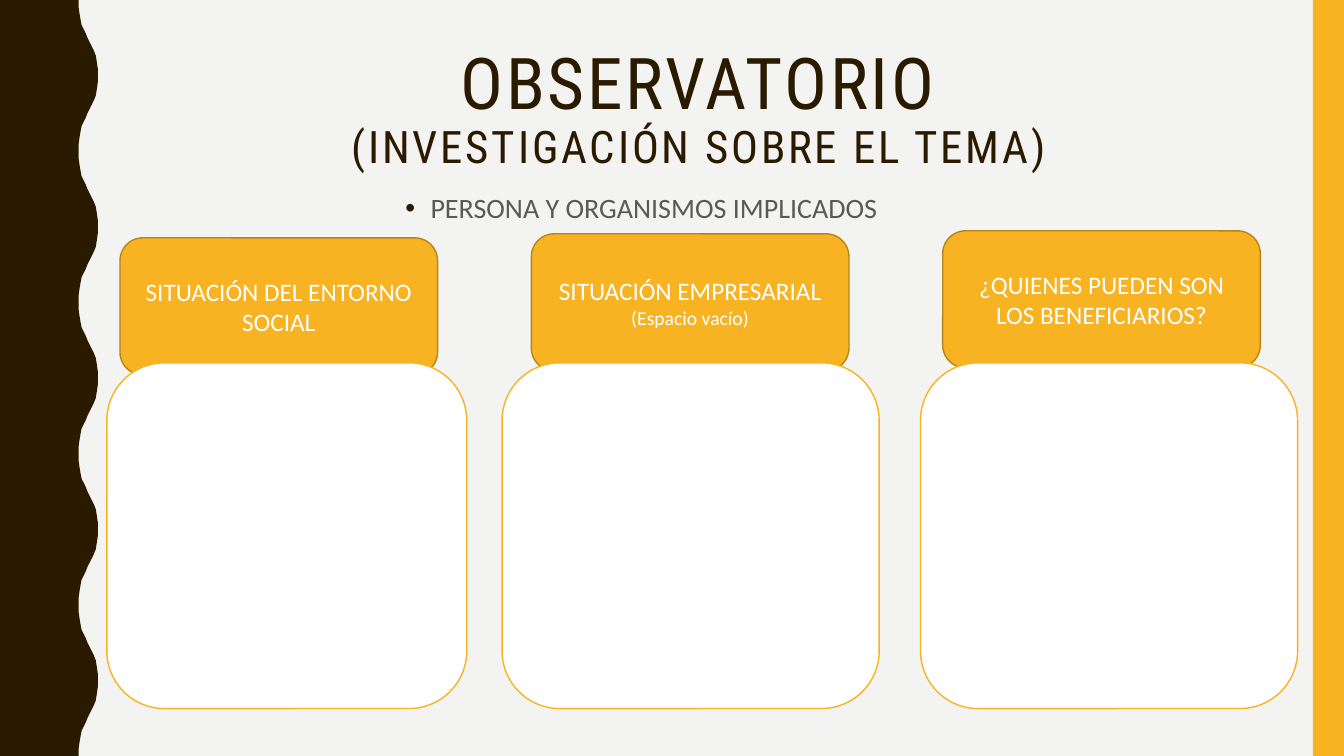
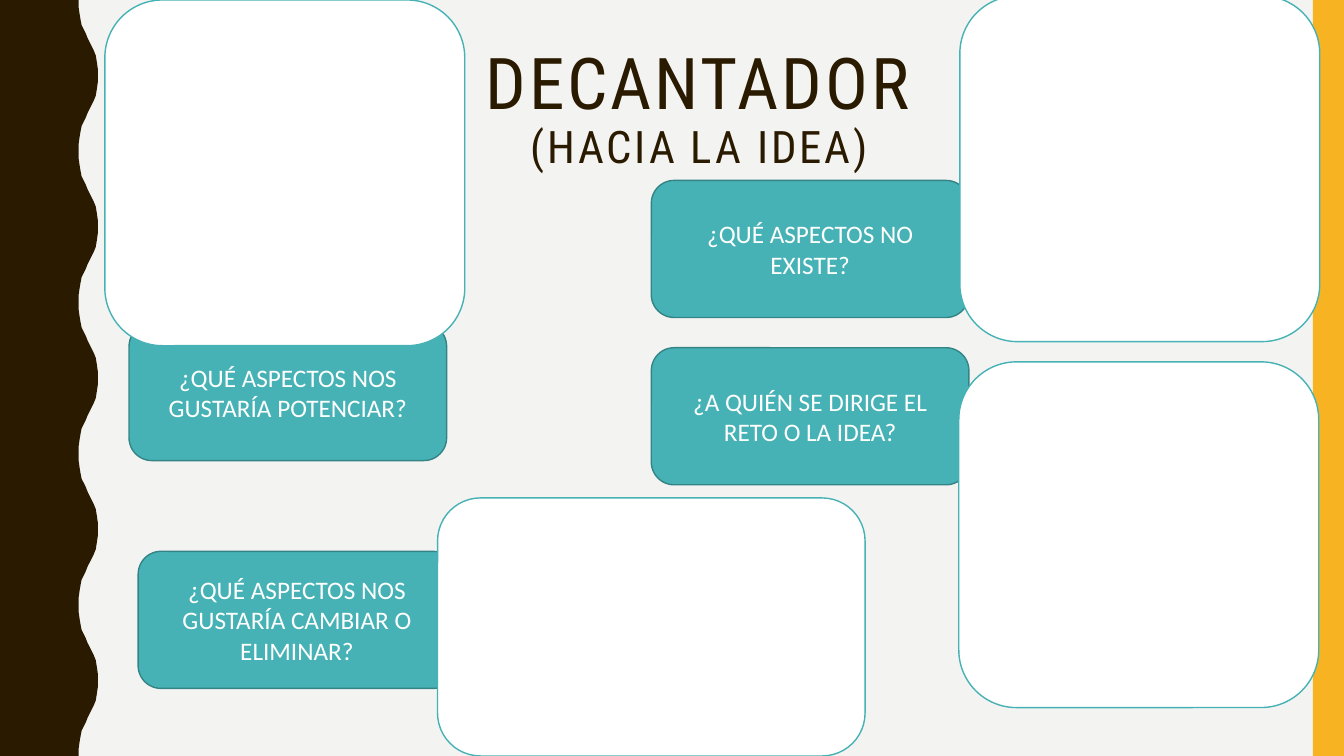
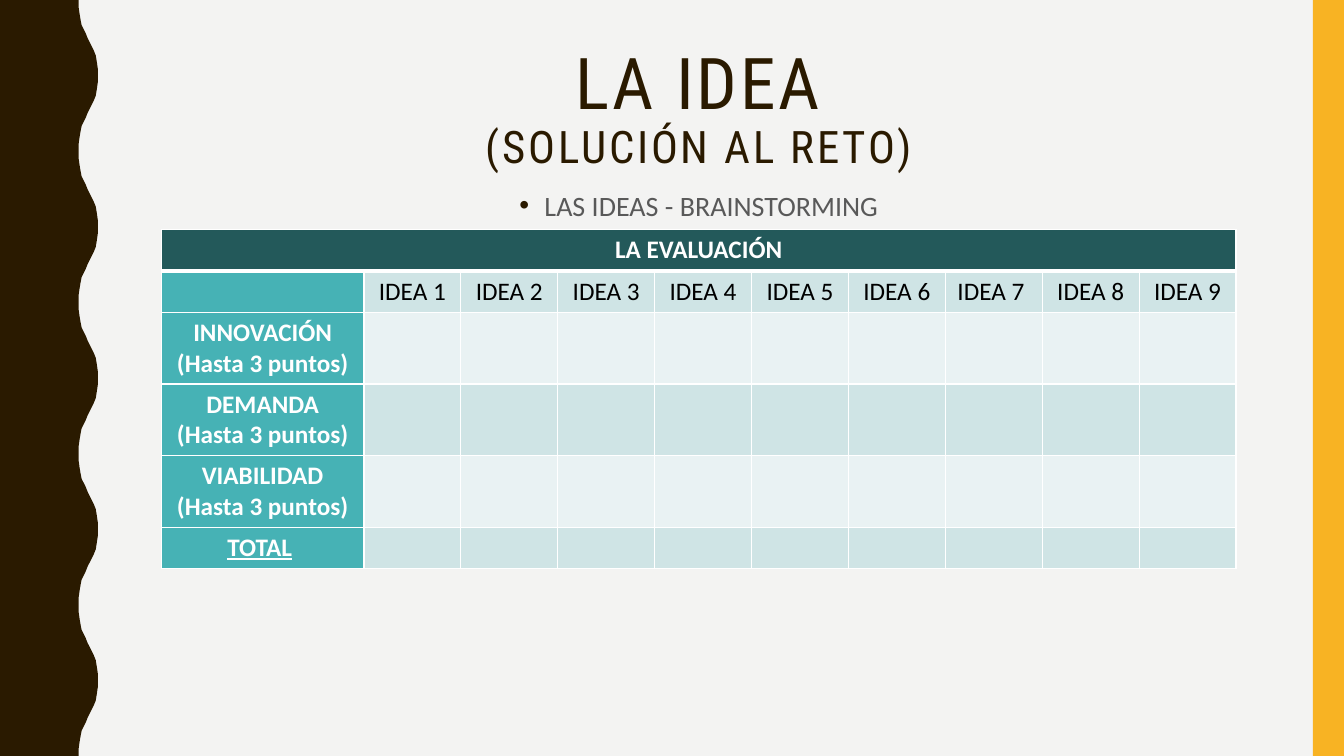
from dataclasses import dataclass

from lxml.etree import SubElement
from pptx import Presentation
from pptx.dml.color import RGBColor
from pptx.enum.shapes import MSO_SHAPE
from pptx.enum.text import MSO_ANCHOR, MSO_AUTO_SIZE, PP_ALIGN
from pptx.oxml.ns import qn
from pptx.util import Inches, Pt

BROWN = RGBColor(0x2A, 0x1A, 0x00)
AMBER = RGBColor(0xF8, 0xB3, 0x23)
DARK_AMBER = RGBColor(0xB7, 0x84, 0x1A)
TEAL = RGBColor(0x46, 0xB2, 0xB5)
DARK_TEAL = RGBColor(0x34, 0x84, 0x86)
HEADER_TEAL = RGBColor(0x23, 0x59, 0x5A)
PALE_TEAL = RGBColor(0xCF, 0xE4, 0xE5)
PALEST_TEAL = RGBColor(0xE9, 0xF2, 0xF3)
PAPER = RGBColor(0xF3, 0xF3, 0xF2)
GRAY = RGBColor(0x59, 0x59, 0x59)
WHITE = RGBColor(0xFF, 0xFF, 0xFF)
BLACK = RGBColor(0x00, 0x00, 0x00)

TITLE_FONT = "Roboto Condensed"
BODY_FONT = "Calibri"
SLIDE_WIDTH, SLIDE_HEIGHT = 13.33, 7.5
LABEL_WIDTH, LABEL_HEIGHT = 3.15, 1.36
PANEL_WIDTH, PANEL_HEIGHT = 3.57, 3.43
WIDE_PANEL = 3.74

WAVE_PERIOD = 1.5
WAVE_COUNT = 5
HALF_WAVE = (
    (0.78, 0), (0.78, 0.07), (0.79, 0.14), (0.8, 0.2), (0.81, 0.25),
    (0.83, 0.29), (0.85, 0.33), (0.87, 0.38), (0.89, 0.42), (0.91, 0.46),
    (0.93, 0.5), (0.95, 0.55), (0.96, 0.61), (0.97, 0.68), (0.97, 0.75),
)


@dataclass(frozen=True)
class Theme:
    fill: RGBColor
    outline: RGBColor


@dataclass(frozen=True)
class Label:
    left: float
    top: float
    text: str
    note: str = ""


@dataclass(frozen=True)
class Panel:
    left: float
    top: float
    width: float = PANEL_WIDTH
    height: float = PANEL_HEIGHT


@dataclass(frozen=True)
class Bullet:
    left: float
    top: float
    width: float
    height: float
    text: str
    alignment: PP_ALIGN
    line_spacing: float


AMBER_THEME = Theme(AMBER, DARK_AMBER)
TEAL_THEME = Theme(TEAL, DARK_TEAL)

OBSERVATORY_BOXES = (
    Label(1.19, 2.36, "SITUACIÓN DEL ENTORNO SOCIAL"),
    Panel(1.06, 3.6),
    Label(5.27, 2.32, "SITUACIÓN EMPRESARIAL ", "(Espacio vacío)"),
    Panel(4.98, 3.6, WIDE_PANEL),
    Label(9.35, 2.29, "¿QUIENES PUEDEN SON LOS BENEFICIARIOS?"),
    Panel(9.13, 3.6, WIDE_PANEL),
)
DECANTER_BOXES = (
    Label(1.28, 3.21, "¿QUÉ ASPECTOS NOS GUSTARÍA POTENCIAR?"),
    Panel(1.04, 0),
    Label(1.37, 5.47, "¿QUÉ ASPECTOS NOS GUSTARÍA CAMBIAR O ELIMINAR?"),
    Label(6.46, 1.79, "¿QUÉ ASPECTOS NO EXISTE?"),
    Label(6.46, 3.45, "¿A QUIÉN SE DIRIGE EL RETO O LA IDEA?"),
    Panel(4.34, 4.94, 4.24, 2.56),
    Panel(9.51, 3.59),
    Panel(9.52, -0.04),
)

IDEA_COUNT = 9
CRITERIA = ("INNOVACIÓN", "DEMANDA", "VIABILIDAD")
TABLE_WIDTH = 10.66
FIRST_COLUMN_WIDTH = 2.01
ROW_HEIGHT = 0.41


def place(shape, left: float, top: float, width: float, height: float) -> None:
    shape.left, shape.top = Inches(left), Inches(top)
    shape.width, shape.height = Inches(width), Inches(height)


def add_run(paragraph, text: str, size: float, color: RGBColor,
            font: str = BODY_FONT, bold: bool = False):
    run = paragraph.add_run()
    run.text = text
    run.font.name = font
    run.font.size = Pt(size)
    run.font.bold = bold
    run.font.color.rgb = color
    return run


def paint(shape, fill: RGBColor, outline: RGBColor | None = None) -> None:
    shape.shadow.inherit = False
    shape.fill.solid()
    shape.fill.fore_color.rgb = fill
    if outline is None:
        shape.line.fill.background()
    else:
        shape.line.color.rgb = outline
        shape.line.width = Pt(1)


def decorate_master(presentation, slide) -> None:
    master = presentation.slide_master
    master.background.fill.solid()
    master.background.fill.fore_color.rgb = PAPER

    points = []
    for index in range(WAVE_COUNT):
        start = index * WAVE_PERIOD
        points += [(x, start + y) for x, y in HALF_WAVE]
        points += [(x, start + WAVE_PERIOD - y) for x, y in reversed(HALF_WAVE[:-1])]
    points.append((0, SLIDE_HEIGHT))
    builder = slide.shapes.build_freeform(0, 0)
    builder.add_line_segments([(Inches(x), Inches(y)) for x, y in points], close=True)
    wave = builder.convert_to_shape()
    paint(wave, BROWN)

    band = slide.shapes.add_shape(
        MSO_SHAPE.RECTANGLE, Inches(13.02), 0, Inches(0.31), Inches(SLIDE_HEIGHT))
    paint(band, AMBER)
    for position, shape in enumerate((wave, band), start=2):
        master.shapes.element.insert(position, shape.element)


def add_title(slide, heading: str, subtitle: str) -> None:
    title = slide.shapes.title
    place(title, 1.37, 0.42, 11.13, 1.63)
    frame = title.text_frame
    frame.word_wrap = True
    frame.auto_size = MSO_AUTO_SIZE.NONE
    frame.vertical_anchor = MSO_ANCHOR.TOP
    paragraph = frame.paragraphs[0]
    paragraph.alignment = PP_ALIGN.CENTER
    paragraph.line_spacing = 0.9
    add_run(paragraph, heading, 51, BROWN, TITLE_FONT)
    paragraph.add_line_break()
    add_run(paragraph, subtitle, 32, BROWN, TITLE_FONT)
    for properties in title.element.iter(qn("a:rPr")):
        properties.set("spc", "200")


def add_bullet(slide, bullet: Bullet) -> None:
    body = slide.placeholders[1]
    place(body, bullet.left, bullet.top, bullet.width, bullet.height)
    frame = body.text_frame
    frame.word_wrap = True
    frame.auto_size = MSO_AUTO_SIZE.NONE
    frame.vertical_anchor = MSO_ANCHOR.TOP
    paragraph = frame.paragraphs[0]
    paragraph.alignment = bullet.alignment
    paragraph.line_spacing = bullet.line_spacing
    paragraph.space_before = Pt(7)
    add_run(paragraph, bullet.text, 20, GRAY)
    for properties in body.element.iter(qn("a:pPr")):
        properties.set("marL", str(Inches(0.25)))
        properties.set("indent", str(-Inches(0.25)))
        color = SubElement(properties, qn("a:buClr"))
        SubElement(color, qn("a:srgbClr"), val=str(BROWN))
        SubElement(properties, qn("a:buFont"), typeface="Arial")
        SubElement(properties, qn("a:buChar"), char="•")


def add_rounded_box(slide, left: float, top: float, width: float, height: float,
                    fill: RGBColor, outline: RGBColor):
    shape = slide.shapes.add_shape(
        MSO_SHAPE.ROUNDED_RECTANGLE,
        Inches(left), Inches(top), Inches(width), Inches(height))
    paint(shape, fill, outline)
    return shape


def add_label(slide, label: Label, theme: Theme) -> None:
    shape = add_rounded_box(slide, label.left, label.top, LABEL_WIDTH, LABEL_HEIGHT,
                            theme.fill, theme.outline)
    frame = shape.text_frame
    frame.word_wrap = True
    frame.vertical_anchor = MSO_ANCHOR.MIDDLE
    paragraph = frame.paragraphs[0]
    paragraph.alignment = PP_ALIGN.CENTER
    add_run(paragraph, label.text, 18, WHITE)
    if label.note:
        add_run(paragraph, label.note, 14, WHITE)


def add_boxes(slide, boxes: tuple[Label | Panel, ...], theme: Theme) -> None:
    for box in boxes:
        if isinstance(box, Label):
            add_label(slide, box, theme)
        else:
            add_rounded_box(slide, box.left, box.top, box.width, box.height,
                            WHITE, theme.fill)


def fill_cell(cell, fill: RGBColor) -> None:
    cell.fill.solid()
    cell.fill.fore_color.rgb = fill


def write_cell(cell, text: str, color: RGBColor = WHITE, bold: bool = True):
    paragraph = cell.text_frame.paragraphs[0]
    paragraph.alignment = PP_ALIGN.CENTER
    return add_run(paragraph, text, 18, color, bold=bold)


def add_cell_borders(table_frame) -> None:
    for row_index, row in enumerate(table_frame.element.iter(qn("a:tr"))):
        widths = {
            "a:lnL": 1,
            "a:lnR": 1,
            "a:lnT": 3 if row_index == 1 else 1,
            "a:lnB": 3 if row_index == 0 else 1,
        }
        for properties in row.iter(qn("a:tcPr")):
            for position, (edge, width) in enumerate(widths.items()):
                line = SubElement(properties, qn(edge), w=str(Pt(width)))
                solid = SubElement(line, qn("a:solidFill"))
                SubElement(solid, qn("a:srgbClr"), val=str(WHITE))
                properties.insert(position, line)


def add_evaluation_table(slide) -> None:
    row_count = len(CRITERIA) + 3
    table_frame = slide.shapes.add_table(
        row_count, IDEA_COUNT + 1, Inches(1.6), Inches(2.28),
        Inches(TABLE_WIDTH), Inches(ROW_HEIGHT * row_count))
    table = table_frame.table
    idea_width = (TABLE_WIDTH - FIRST_COLUMN_WIDTH) / IDEA_COUNT
    for index, column in enumerate(table.columns):
        column.width = Inches(idea_width if index else FIRST_COLUMN_WIDTH)

    for row_index, row in enumerate(table.rows):
        for column_index, cell in enumerate(row.cells):
            if row_index == 0:
                fill_cell(cell, HEADER_TEAL)
            elif column_index == 0:
                fill_cell(cell, TEAL)
            else:
                fill_cell(cell, PALE_TEAL if row_index % 2 else PALEST_TEAL)

    table.cell(0, 0).merge(table.cell(0, IDEA_COUNT))
    write_cell(table.cell(0, 0), "LA EVALUACIÓN")
    for number in range(1, IDEA_COUNT + 1):
        text = "IDEA 7 " if number == 7 else f"IDEA {number}"
        write_cell(table.cell(1, number), text, BLACK, bold=False)
    for row_index, criterion in enumerate(CRITERIA, start=2):
        write_cell(table.cell(row_index, 0), f"{criterion} (Hasta 3 puntos)")
    total_cell = table.cell(row_count - 1, 0)
    write_cell(total_cell, "TOTAL").font.underline = True
    write_cell(total_cell, " ")
    add_cell_borders(table_frame)


def main() -> None:
    presentation = Presentation()
    presentation.slide_width = Inches(SLIDE_WIDTH)
    presentation.slide_height = Inches(SLIDE_HEIGHT)
    content_layout = presentation.slide_layouts.get_by_name("Title and Content")
    title_layout = presentation.slide_layouts.get_by_name("Title Only")

    observatory = presentation.slides.add_slide(content_layout)
    decorate_master(presentation, observatory)
    add_title(observatory, "OBSERVATORIO", "(INVESTIGACIÓN SOBRE EL TEMA)")
    add_bullet(observatory, Bullet(3.92, 1.81, 5.49, 0.48,
                                   "PERSONA Y ORGANISMOS IMPLICADOS",
                                   PP_ALIGN.LEFT, 1.1))
    add_boxes(observatory, OBSERVATORY_BOXES, AMBER_THEME)

    decanter = presentation.slides.add_slide(title_layout)
    add_title(decanter, "DECANTADOR", "(HACIA LA IDEA)")
    add_boxes(decanter, DECANTER_BOXES, TEAL_THEME)

    idea = presentation.slides.add_slide(content_layout)
    add_title(idea, "LA IDEA", "(SOLUCIÓN AL RETO)")
    add_bullet(idea, Bullet(4.8, 1.82, 4.26, 0.45, "LAS IDEAS - BRAINSTORMING",
                            PP_ALIGN.CENTER, 1.0))
    add_evaluation_table(idea)

    presentation.save("out.pptx")


if __name__ == "__main__":
    main()
